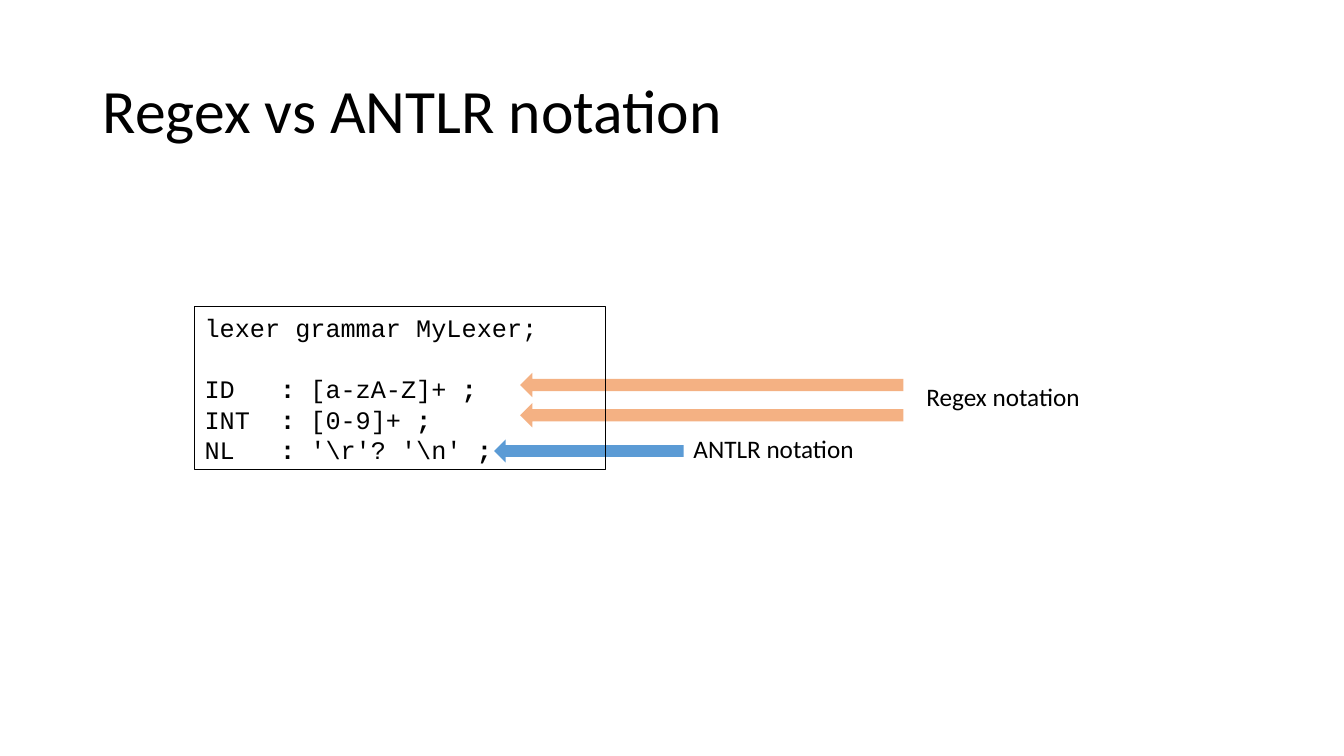
"""Build the slide comparing regex and ANTLR notation in a lexer grammar."""
from typing import NamedTuple

from pptx import Presentation
from pptx.dml.color import RGBColor
from pptx.enum.shapes import MSO_SHAPE
from pptx.enum.text import MSO_ANCHOR, MSO_AUTO_SIZE, PP_ALIGN
from pptx.util import Inches, Pt

LEFT_ARROW, RECTANGLE = MSO_SHAPE.LEFT_ARROW, MSO_SHAPE.RECTANGLE
MIDDLE, LEFT = MSO_ANCHOR.MIDDLE, PP_ALIGN.LEFT
NO_AUTOFIT = MSO_AUTO_SIZE.NONE
COLORS = {"text": "000000", "antlr": "5B9BD5", "regex": "F4B183"}
BODY_FONT, CODE_FONT = "Calibri", "Courier New"
CODE_LINE = Pt(21.9)


class Arrow(NamedTuple):
    left: float
    top: float
    width: float
    height: float
    color: str


class Label(NamedTuple):
    left: float
    top: float
    width: float
    text: str


class Rule(NamedTuple):
    name: str
    pattern: str


ANTLR_ARROW = Arrow(4.9, 4.36, 1.88, 0.23, "antlr")
REGEX_ARROWS = [Arrow(5.16, top, 3.8, 0.24, "regex") for top in (3.7, 4)]
LABELS = [
    Label(6.78, 4.25, 1.87, "ANTLR notation"),
    Label(9.09, 3.73, 1.74, "Regex notation"),
]
GRAMMAR_HEADER = "lexer grammar MyLexer;"
RULES = [Rule("ID", "[a-zA-Z]+"), Rule("INT", "[0-9]+"), Rule("NL", r"'\r'? '\n'")]


def rgb(name: str) -> RGBColor:
    return RGBColor.from_string(COLORS[name])


def format_span(span, size: float, font: str, bold: bool = False) -> None:
    span.font.size = Pt(size)
    span.font.name = font
    span.font.bold = bold
    span.font.color.rgb = rgb("text")


def add_title(page, text: str) -> None:
    title = page.shapes.title
    title.left, title.top = Inches(0.92), Inches(0.4)
    title.width, title.height = Inches(11.5), Inches(1.45)
    frame = title.text_frame
    frame.text = text
    frame.auto_size = NO_AUTOFIT
    frame.vertical_anchor = MIDDLE
    para = frame.paragraphs[0]
    para.alignment = LEFT
    para.line_spacing = 0.9
    format_span(para.runs[0], 44, BODY_FONT)


def add_arrow(page, arrow: Arrow) -> None:
    shape = page.shapes.add_shape(
        LEFT_ARROW, Inches(arrow.left), Inches(arrow.top),
        Inches(arrow.width), Inches(arrow.height))
    shape.shadow.inherit = False
    shape.fill.solid()
    shape.fill.fore_color.rgb = rgb(arrow.color)
    shape.line.fill.background()


def add_label(page, label: Label) -> None:
    box = page.shapes.add_textbox(
        Inches(label.left), Inches(label.top), Inches(label.width), Inches(0.4))
    frame = box.text_frame
    frame.word_wrap = False
    frame.text = label.text
    format_span(frame.paragraphs[0].runs[0], 18, BODY_FONT)


def add_code_line(para, parts: list[tuple[str, bool]]) -> None:
    para.alignment = LEFT
    para.line_spacing = CODE_LINE
    for text, bold in parts:
        span = para.add_run()
        span.text = text
        format_span(span, 18, CODE_FONT, bold)


def add_grammar(page) -> None:
    box = page.shapes.add_shape(
        RECTANGLE, Inches(1.93), Inches(3.04), Inches(4.08), Inches(1.62))
    box.shadow.inherit = False
    box.fill.background()
    box.line.color.rgb = rgb("text")
    box.line.width = Pt(0.75)
    frame = box.text_frame
    frame.word_wrap = True
    frame.vertical_anchor = MIDDLE
    header = frame.paragraphs[0]
    add_code_line(header, [(GRAMMAR_HEADER, False)])
    header.space_after = CODE_LINE
    for rule in RULES:
        add_code_line(frame.add_paragraph(), [
            (rule.name.ljust(5), False), (":", True),
            (f" {rule.pattern} ", False), (";", True)])


def main() -> None:
    deck = Presentation()
    deck.slide_width, deck.slide_height = Inches(13.33), Inches(7.5)
    page = deck.slides.add_slide(deck.slide_layouts.get_by_name("Title Only"))
    add_title(page, "Regex vs ANTLR notation")
    for arrow in (ANTLR_ARROW, *REGEX_ARROWS):
        add_arrow(page, arrow)
    for label in LABELS:
        add_label(page, label)
    add_grammar(page)
    deck.save("out.pptx")


if __name__ == "__main__":
    main()
